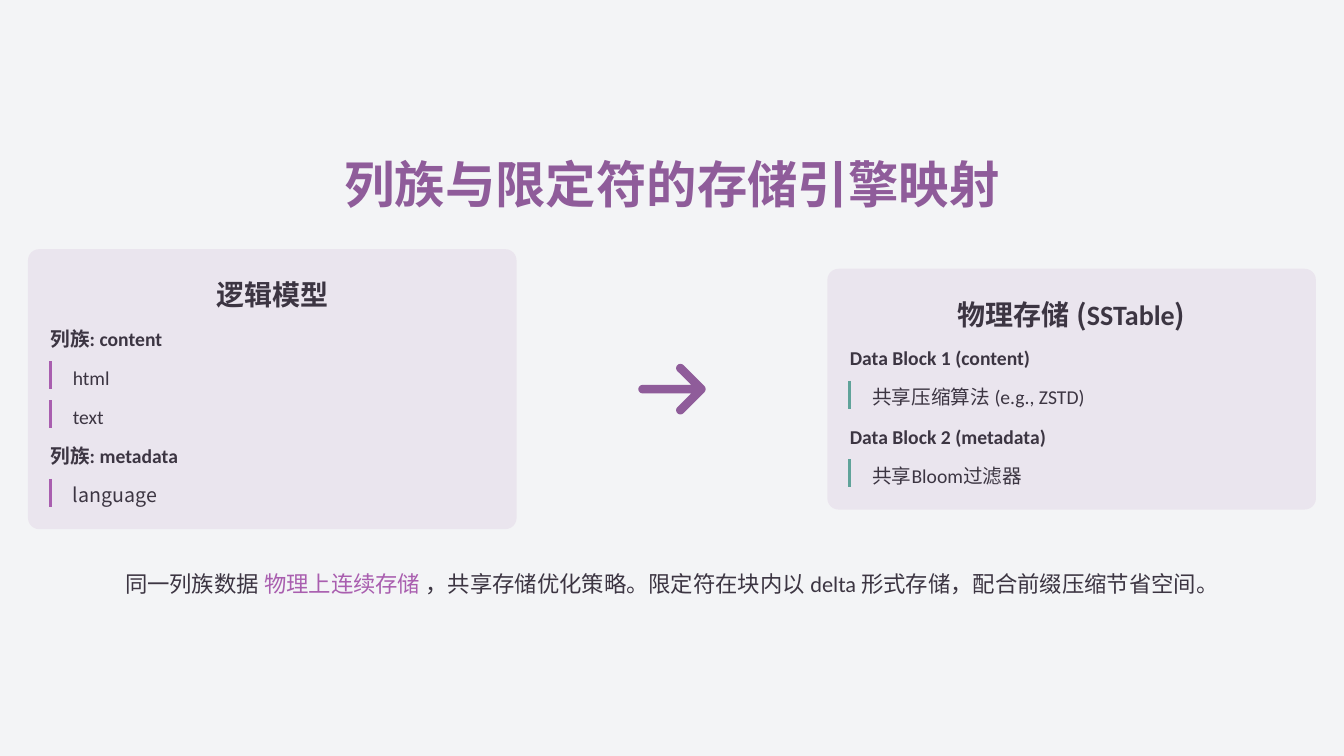
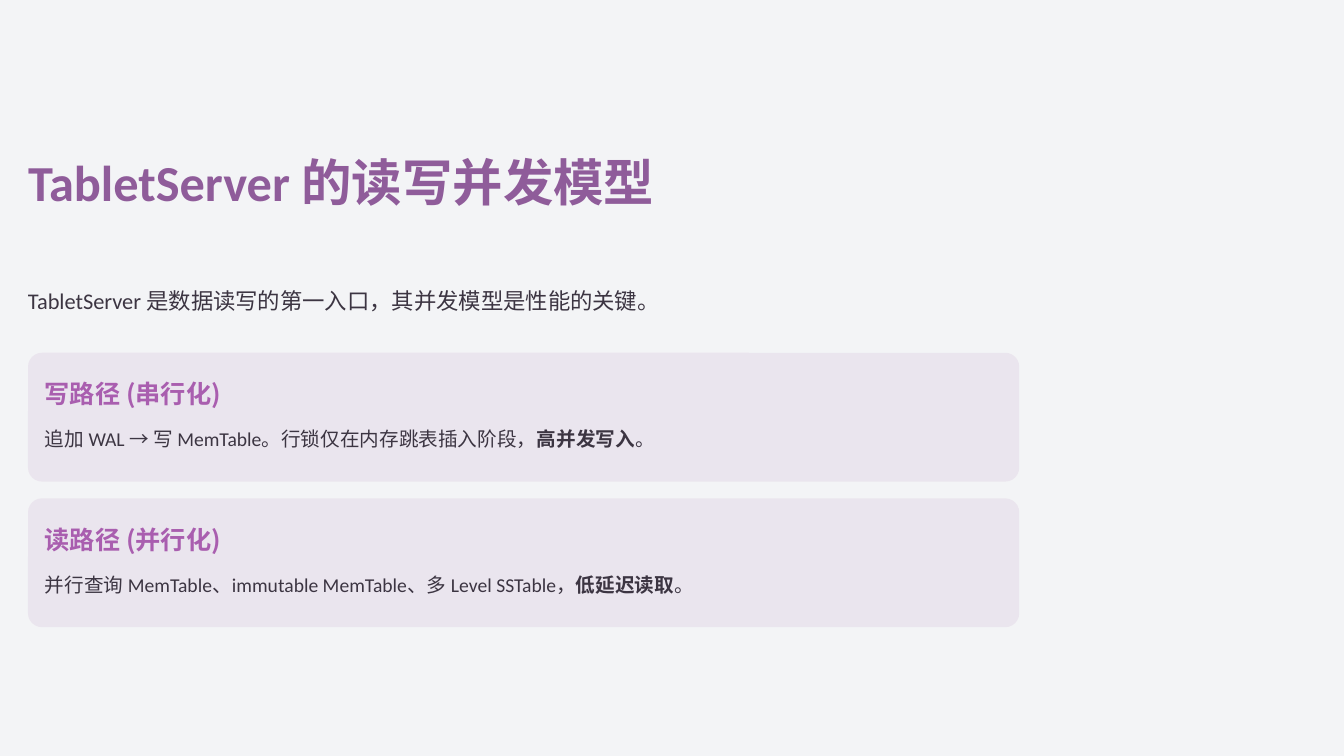
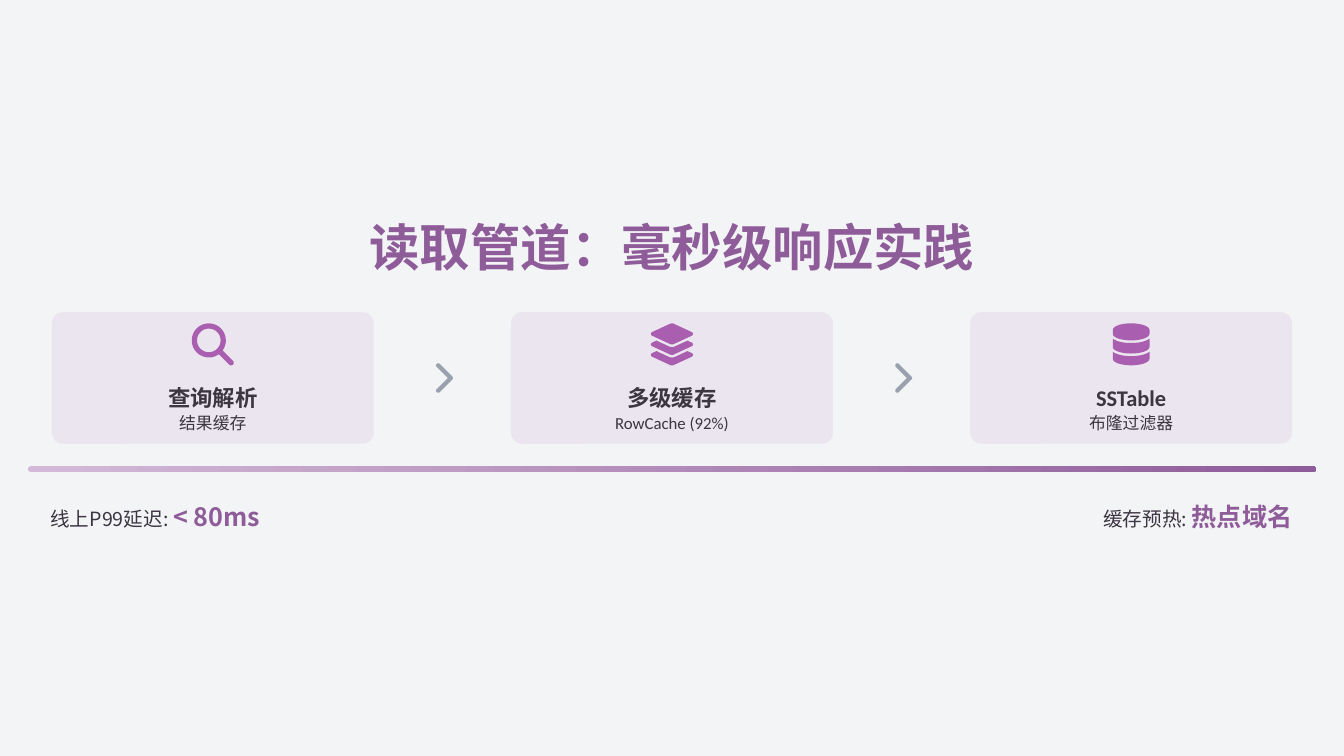
from dataclasses import dataclass
from typing import Optional

from lxml.etree import SubElement
from pptx import Presentation
from pptx.dml.color import RGBColor
from pptx.enum.shapes import MSO_CONNECTOR as Connector, MSO_SHAPE as Preset
from pptx.enum.text import MSO_ANCHOR as Anchor, MSO_AUTO_SIZE as AutoSize, PP_ALIGN as Align
from pptx.oxml.ns import qn
from pptx.presentation import Presentation as Deck
from pptx.shapes.autoshape import Shape
from pptx.slide import Slide
from pptx.util import Pt

CJK, LATIN = "Noto Sans CJK SC", "Calibri"
PAGE, INK, LILAC = "F3F4F6", "3C3542", "D3B9D7"
PURPLE, ORCHID, TEAL, GRAY = "8F5C9A", "A95EAF", "60A39A", "99A1AF"
PAGE_WIDTH, PAGE_HEIGHT, MARGIN = 960, 540, 20
GRID = 512  # height of the icon drawing grid


@dataclass(frozen=True)
class Span:
    text: str
    font: str = CJK
    bold: Optional[bool] = None
    color: Optional[str] = None
    size: Optional[float] = None


@dataclass(frozen=True)
class Box:
    left: float
    top: float
    width: float
    height: float

    @property
    def center(self) -> float:
        return self.left + self.width / 2

    @property
    def middle(self) -> float:
        return self.top + self.height / 2


@dataclass(frozen=True)
class Row:
    spans: list[Span]
    is_item: bool = False


@dataclass(frozen=True)
class Model:
    left: float
    accent: str
    heading: list[Span]
    rows: list[Row]


@dataclass(frozen=True)
class AccessPath:
    heading: str
    body: list[Span]


@dataclass(frozen=True)
class Icon:
    outline: str
    width: float = GRID


@dataclass(frozen=True)
class Stage:
    icon: Icon
    label: Span
    detail: Span


def latin(text: str) -> Span:
    return Span(text, LATIN)


def lower_layer(shift: int) -> str:
    y = [shift + step for step in (82, 106, 110, 119, 128, 137, 146, 150, 251, 258, 152, 163)]
    return (f"M 445 {y[0]} L 498 {y[1]} C 507 {y[2]} 512 {y[3]} 512 {y[4]} "
            f"C 512 {y[5]} 507 {y[6]} 498 {y[7]} L 280 {y[8]} "
            f"C 265 {y[9]} 247 {y[9]} 232 {y[8]} L 14 {y[7]} "
            f"C 5 {y[6]} 0 {y[5]} 0 {y[4]} C 0 {y[3]} 5 {y[2]} 14 {y[1]} "
            f"L 67 {y[0]} L 219 {y[10]} C 243 {y[11]} 270 {y[11]} 293 {y[10]} ")


def lower_disk(top: int, side: int) -> str:
    return (f"M 393 {top + 28} C 414 {top + 20} 433 {top + 11} 448 {top} L 448 {side} "
            f"C 448 {side + 44} 348 {side + 80} 224 {side + 80} "
            f"C 100 {side + 80} 0 {side + 44} 0 {side} L 0 {top} "
            f"C 15 {top + 11} 34 {top + 20} 55 {top + 28} "
            f"C 100 {top + 44} 160 {top + 53} 224 {top + 53} "
            f"C 288 {top + 53} 348 {top + 44} 393 {top + 28} ")


ARROW = Icon("M 503 279 C 515 266 515 246 503 233 L 343 73 C 330 61 310 61 297 73 "
             "C 285 86 285 106 297 119 L 403 224 L 32 224 C 14 224 0 238 0 256 "
             "C 0 274 14 288 32 288 L 403 288 L 297 393 C 285 406 285 426 297 439 "
             "C 310 451 330 451 343 439 L 503 279")
CHEVRON = Icon("M 311 233 C 323 246 323 266 311 279 L 119 471 C 106 483 86 483 73 471 "
               "C 61 458 61 438 73 425 L 243 256 L 73 87 C 61 74 61 54 73 41 "
               "C 86 29 106 29 119 41 L 311 233", 320)
MAGNIFIER = Icon("M 416 208 C 416 254 401 296 376 331 L 503 457 C 515 470 515 490 503 503 "
                 "C 490 515 470 515 457 503 L 331 376 C 296 401 254 416 208 416 "
                 "C 93 416 0 323 0 208 C 0 93 93 0 208 0 C 323 0 416 93 416 208 "
                 "M 208 352 C 288 352 352 288 352 208 C 352 128 288 64 208 64 "
                 "C 128 64 64 128 64 208 C 64 288 128 352 208 352")
LAYERS = Icon("M 232 5 C 247 -2 265 -2 280 5 L 498 106 C 507 110 512 119 512 128 "
              "C 512 137 507 146 498 150 L 280 251 C 265 258 247 258 232 251 "
              "L 14 150 C 5 146 0 137 0 128 C 0 119 5 110 14 106 L 232 5 "
              + lower_layer(128) + lower_layer(256))
DATABASE = Icon("M 448 80 L 448 128 C 448 172 348 208 224 208 C 100 208 0 172 0 128 "
                "L 0 80 C 0 36 100 0 224 0 C 348 0 448 36 448 80 "
                + lower_disk(187, 288) + lower_disk(347, 432), 448)


def rgb(color: str) -> RGBColor:
    return RGBColor.from_string(color)


def write_text(shape: Shape, spans: list[Span], size: float, color: str = INK, bold: bool = False,
               align: Align = Align.LEFT, spacing: float = 1.2, indent: float = 0) -> None:
    frame = shape.text_frame
    frame.word_wrap = True
    frame.auto_size = AutoSize.NONE
    frame.vertical_anchor = Anchor.MIDDLE
    frame.margin_left = Pt(indent)
    frame.margin_top = frame.margin_right = frame.margin_bottom = 0
    para = frame.paragraphs[0]
    para.alignment = align
    para.line_spacing = spacing
    para.font.name = CJK
    para.font.size = Pt(size)
    para.font.bold = bold
    para.font.color.rgb = rgb(color)
    for span in spans:
        run = para.add_run()
        run.text = span.text
        if span.font != CJK:
            run.font.name = span.font
        if span.bold is not None:
            run.font.bold = span.bold
        if span.color:
            run.font.color.rgb = rgb(span.color)
        if span.size:
            run.font.size = Pt(span.size)


def add_text(slide: Slide, box: Box, spans: list[Span], size: float, color: str = INK,
             bold: bool = False, align: Align = Align.LEFT, spacing: float = 1.2,
             indent: float = 0) -> None:
    shape = slide.shapes.add_textbox(Pt(box.left), Pt(box.top), Pt(box.width), Pt(box.height))
    write_text(shape, spans, size, color, bold, align, spacing, indent)


def add_slide(deck: Deck, title_box: Box, title: list[Span], align: Align = Align.CENTER) -> Slide:
    slide = deck.slides.add_slide(deck.slide_layouts[5])
    shape = slide.shapes.title
    shape.left, shape.top = Pt(title_box.left), Pt(title_box.top)
    shape.width, shape.height = Pt(title_box.width), Pt(title_box.height)
    write_text(shape, title, 36, PURPLE, True, align, 0.9)
    return slide


def add_rounded(slide: Slide, box: Box, radius: float) -> Shape:
    shape = slide.shapes.add_shape(Preset.ROUNDED_RECTANGLE, Pt(box.left), Pt(box.top),
                                   Pt(box.width), Pt(box.height))
    shape.adjustments[0] = radius / min(box.width, box.height)
    shape.shadow.inherit = False
    shape.line.fill.background()
    return shape


def add_panel(slide: Slide, box: Box, radius: float = 8) -> None:
    """Draw a rounded panel with a translucent lilac fill."""
    panel = add_rounded(slide, box, radius)
    panel.fill.solid()
    panel.fill.fore_color.rgb = rgb(LILAC)
    fill_color = panel.element.xpath(".//a:solidFill/a:srgbClr")[0]
    SubElement(fill_color, qn("a:alpha")).set("val", "25000")


def add_rule(slide: Slide, left: float, top: float, height: float, color: str) -> None:
    rule = slide.shapes.add_connector(Connector.STRAIGHT, Pt(left), Pt(top), Pt(left),
                                      Pt(top + height))
    rule.line.color.rgb = rgb(color)
    rule.line.width = Pt(2)
    SubElement(rule.element.spPr, qn("a:effectLst"))


def curve_points(corners: list[tuple[float, float]], steps: int = 8) -> list[tuple[float, float]]:
    """Sample a cubic curve given its start, two handles and end."""
    points = []
    for step in range(1, steps + 1):
        t = step / steps
        weights = ((1 - t) ** 3, 3 * t * (1 - t) ** 2, 3 * t * t * (1 - t), t ** 3)
        points.append((sum(w * x for w, (x, _) in zip(weights, corners)),
                       sum(w * y for w, (_, y) in zip(weights, corners))))
    return points


def add_icon(slide: Slide, icon: Icon, center: float, middle: float, height: float,
             color: str) -> None:
    """Draw an outline of M, L and C commands, centred on a point."""
    fine = 10
    unit = height / GRID
    builder = None
    current = (0.0, 0.0)
    for contour in icon.outline.split("M")[1:]:
        tokens = ["M", *contour.split()]
        points = []
        while tokens:
            command = tokens.pop(0)
            count = 6 if command == "C" else 2
            numbers = [float(token) * fine for token in tokens[:count]]
            del tokens[:count]
            pairs = list(zip(numbers[::2], numbers[1::2]))
            points += curve_points([current, *pairs]) if command == "C" else pairs
            current = pairs[-1]
        if builder is None:
            builder = slide.shapes.build_freeform(*points[0], scale=Pt(1) * unit / fine)
        else:
            builder.move_to(*points[0])
        builder.add_line_segments(points[1:], close=True)
    shape = builder.convert_to_shape(Pt(center - icon.width * unit / 2), Pt(middle - height / 2))
    shape.shadow.inherit = False
    shape.fill.solid()
    shape.fill.fore_color.rgb = rgb(color)
    shape.line.fill.background()


def add_model(slide: Slide, model: Model, middle: float) -> None:
    first_row, pitch, row_height = 52, 28, 20
    height = first_row + pitch * len(model.rows) + 8
    box = Box(model.left, middle - height / 2, 349, height)
    add_panel(slide, box)
    add_text(slide, Box(box.left + 11, box.top + 16, box.width - 22, 28), model.heading, 20,
             bold=True, align=Align.CENTER)
    for index, row in enumerate(model.rows):
        row_box = Box(box.left + 16, box.top + first_row + pitch * index, 322, row_height)
        if row.is_item:
            add_rule(slide, row_box.left, row_box.top, row_height, model.accent)
        add_text(slide, row_box, row.spans, 14, bold=not row.is_item,
                 indent=16 if row.is_item else 0)


def build_mapping(deck: Deck) -> None:
    slide = add_slide(deck, Box(11, 114, 938, 40), [Span("列族与限定符的存储引擎映射")])
    middle = 278
    logical = Model(MARGIN, ORCHID, [Span("逻辑模型")], [
        Row([Span("列族"), latin(": content")]),
        Row([latin("html")], True),
        Row([latin("text")], True),
        Row([Span("列族"), latin(": metadata")]),
        Row([Span("language")], True),
    ])
    physical = Model(591, TEAL, [Span("物理存储 ("), latin("SSTable"), Span(")")], [
        Row([latin("Data Block 1 (content)")]),
        Row([Span("共享压缩算法 "), latin("(e.g., ZSTD)")], True),
        Row([latin("Data Block 2 (metadata)")]),
        Row([Span("共享"), latin("Bloom"), Span("过滤器")], True),
    ])
    for model in (logical, physical):
        add_model(slide, model, middle)
    add_icon(slide, ARROW, PAGE_WIDTH / 2, middle, 48, PURPLE)
    add_text(slide, Box(16, 402, 928, 24), [
        Span("同一列族数据"),
        Span(" 物理上连续存储 ", color=ORCHID),
        Span("，共享存储优化策略。限定符在块内以 "),
        latin("delta "),
        Span("形式存储，配合前缀压缩节省空间。"),
    ], 16, align=Align.CENTER, spacing=1.3)


def build_concurrency(deck: Deck) -> None:
    slide = add_slide(deck, Box(MARGIN, 92, 534, 80),
                      [latin("TabletServer "), Span("的读写并发模型")], Align.LEFT)
    add_text(slide, Box(MARGIN, 188, 534, 48),
             [latin("TabletServer "), Span("是数据读写的第一入口，其并发模型是性能的关键。")],
             16, spacing=1.3)
    access_paths = [
        AccessPath("写路径 (串行化)", [
            Span("追加 "), latin("WAL"), Span(" → 写 "), latin("MemTable"),
            Span("。行锁仅在内存跳表插入阶段，"), Span("高并发写入", bold=True), Span("。")]),
        AccessPath("读路径 (并行化)", [
            Span("并行查询 "), latin("MemTable"), Span("、"), latin("immutable MemTable"),
            Span("、多 "), latin("Level SSTable"), Span("，"),
            Span("低延迟读取", bold=True), Span("。")]),
    ]
    for index, access in enumerate(access_paths):
        box = Box(MARGIN, 252 + 104 * index, 708, 92)
        add_panel(slide, box, 10)
        add_text(slide, Box(box.left + 12, box.top + 12, 421, 28), [Span(access.heading)], 18,
                 ORCHID, True, spacing=1.3)
        add_text(slide, Box(box.left + 12, box.top + 40, 542, 40), access.body, 14)


def build_pipeline(deck: Deck) -> None:
    slide = add_slide(deck, Box(11, 159, 938, 40), [Span("读取管道：毫秒级响应实践")])
    stages = [
        Stage(MAGNIFIER, Span("查询解析"), Span("结果缓存")),
        Stage(LAYERS, Span("多级缓存"), latin("RowCache (92%)")),
        Stage(DATABASE, latin("SSTable"), Span("布隆过滤器")),
    ]
    pitch = 328
    for index, stage in enumerate(stages):
        card = Box(37 + pitch * index, 223, 230, 94)
        if index:
            add_icon(slide, CHEVRON, card.center - pitch / 2, card.middle, 24, GRAY)
        add_panel(slide, card)
        add_icon(slide, stage.icon, card.center, card.top + 23, 30, ORCHID)
        add_text(slide, Box(card.center - 36, card.top + 46, 72, 24), [stage.label], 16,
                 bold=True, align=Align.CENTER, spacing=1.3)
        add_text(slide, Box(card.center - 52, card.top + 70, 104, 16), [stage.detail], 12,
                 align=Align.CENTER, spacing=1.1)

    progress = add_rounded(slide, Box(MARGIN, 333, PAGE_WIDTH - 2 * MARGIN, 4), 2)
    progress.fill.gradient()
    progress.fill.gradient_angle = 0
    for stop, color in zip(progress.fill.gradient_stops, (LILAC, PURPLE)):
        stop.color.rgb = rgb(color)

    for left, width, label, value in ((36, 161, "线上P99延迟: ", "< 80ms"),
                                      (788, 143, "缓存预热: ", "热点域名")):
        add_text(slide, Box(left, 353, width, 28),
                 [Span(label), Span(value, bold=True, color=PURPLE, size=18)], 14)


def set_shared_style(deck: Deck) -> None:
    """Set the page colour and the East Asian font for all slides."""
    background = deck.slide_master.background.fill
    background.solid()
    background.fore_color.rgb = rgb(PAGE)
    for root in (deck.element, deck.slide_master.element):
        for typeface in root.iter(qn("a:ea")):
            typeface.set("typeface", CJK)


def main() -> None:
    deck = Presentation()
    deck.slide_width, deck.slide_height = Pt(PAGE_WIDTH), Pt(PAGE_HEIGHT)
    set_shared_style(deck)
    build_mapping(deck)
    build_concurrency(deck)
    build_pipeline(deck)
    deck.save("out.pptx")


if __name__ == "__main__":
    main()
